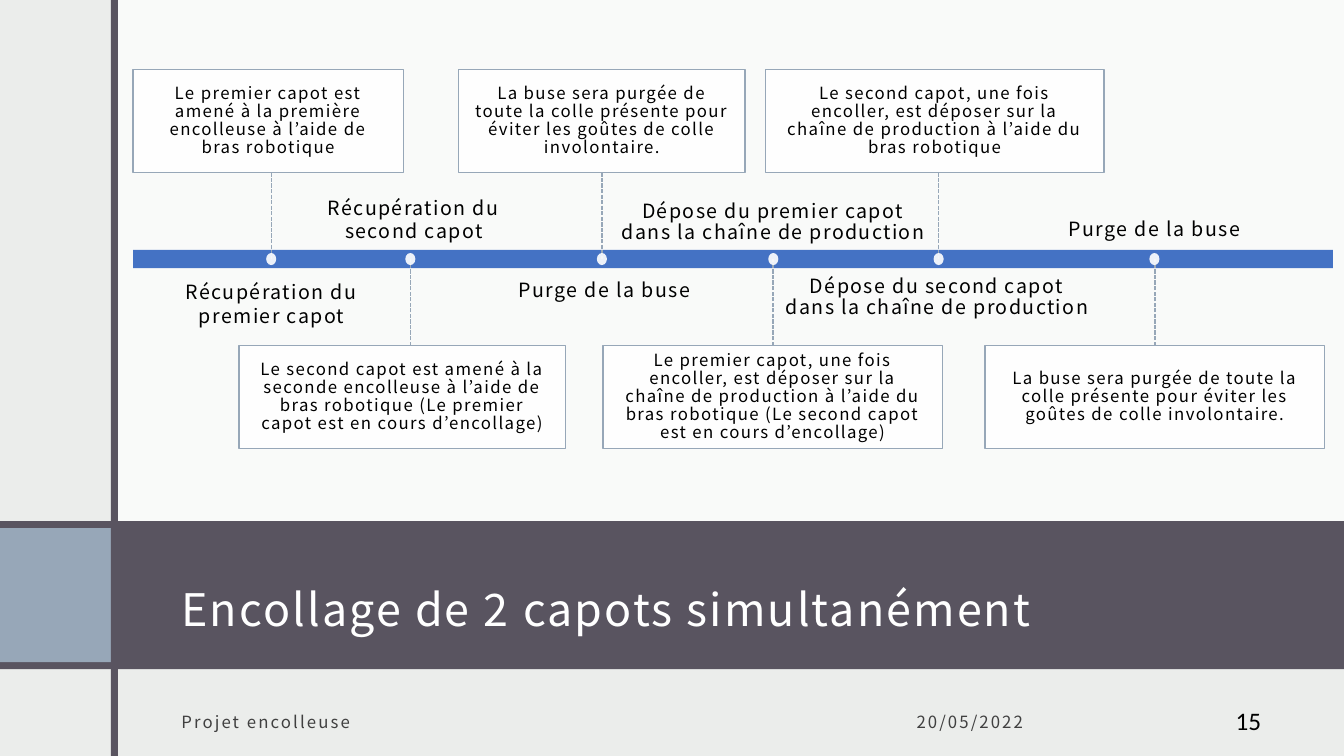
from typing import NamedTuple

from lxml.etree import SubElement
from pptx import Presentation
from pptx.dml.color import RGBColor
from pptx.enum.dml import MSO_LINE
from pptx.enum.shapes import MSO_CONNECTOR, MSO_SHAPE
from pptx.enum.text import MSO_ANCHOR, MSO_AUTO_SIZE, PP_ALIGN
from pptx.oxml.ns import qn
from pptx.util import Inches, Pt

COLORS = {"background": "EBEDEB", "white": "FFFFFF", "dark": "595460",
          "steel": "97A7B8", "blue": "4472C4", "black": "000000",
          "gray": "404040"}
FONT = "Noto Sans CJK JP"
FRAME_INSETS = (0.12, 0.12, 0.12, 0.1)
CARD_INSETS = (0.16, 0.06, 0.16, 0.06)
CARD_H, CAPTION_H = 1.02, 0.51


class Step(NamedTuple):
    x: float
    above: bool
    card_left: float
    card_width: float
    detail: str
    caption_box: tuple  # left, top, width
    caption: str
    caption_spacing: float


STEPS = [
    Step(2.69, True, 1.32, 2.68,
         "Le premier capot est amené à la première encolleuse à l’aide de "
         "bras robotique",
         (1.45, 2.78, 2.49), "Récupération du premier capot", 1.0),
    Step(4.07, False, 2.37, 3.24,
         "Le second capot est amené à la seconde encolleuse à l’aide de bras "
         "robotique (Le premier capot est en cours d’encollage)",
         (2.86, 1.9, 2.49), "Récupération du second capot", 1.0),
    Step(5.97, True, 4.55, 2.84,
         "La buse sera purgée de toute la colle présente pour éviter les "
         "goûtes de colle involontaire.",
         (4.75, 2.76, 2.49), "Purge de la buse", 1.0),
    Step(7.67, False, 5.98, 3.37,
         "Le premier capot, une fois encoller, est déposer sur la chaîne de "
         "production à l’aide du bras robotique (Le second capot est en cours "
         "d’encollage)",
         (6.14, 1.91, 3.06), "Dépose du premier capot dans la chaîne de production", 0.9),
    Step(9.31, True, 7.59, 3.36,
         "Le second capot, une fois encoller, est déposer sur la chaîne de "
         "production à l’aide du bras robotique",
         (7.76, 2.74, 3.07), "Dépose du second capot dans la chaîne de production", 0.9),
    Step(11.45, False, 9.77, 3.37,
         "La buse sera purgée de toute la colle présente pour éviter les "
         "goûtes de colle involontaire.",
         (9.92, 1.88, 3.06), "Purge de la buse", 1.0),
]


def rgb(name):
    return RGBColor.from_string(COLORS[name])


def add_block(s, box, color, shape=MSO_SHAPE.RECTANGLE, alpha=100, line=None):
    sp = s.shapes.add_shape(shape, *map(Inches, box))
    sp.shadow.inherit = False
    sp.fill.solid()
    sp.fill.fore_color.rgb = rgb(color)
    if alpha < 100:
        fill_color = sp.fill._xPr.find(qn("a:solidFill"))[0]
        SubElement(fill_color, qn("a:alpha"), val=str(alpha * 1000))
    if line:
        sp.line.color.rgb = rgb(line)
        sp.line.width = Pt(1)
    else:
        sp.line.fill.background()
    return sp


def write(sp, text, size, color="black", font=FONT, spacing=1.0,
          tracking=1.0, align=PP_ALIGN.LEFT, anchor=MSO_ANCHOR.MIDDLE,
          insets=FRAME_INSETS):
    """Fill a shape with one formatted paragraph; tracking is in points."""
    tf = sp.text_frame
    left, top, right, bottom = map(Inches, insets)
    frame = {"word_wrap": True, "auto_size": MSO_AUTO_SIZE.NONE,
             "vertical_anchor": anchor, "margin_left": left,
             "margin_top": top, "margin_right": right, "margin_bottom": bottom}
    for name, value in frame.items():
        setattr(tf, name, value)
    p = tf.paragraphs[0]
    p.alignment, p.line_spacing = align, spacing
    r = p.add_run()
    r.text = text
    r.font.name, r.font.size = font, Pt(size)
    r.font.color.rgb = rgb(color)
    if tracking:
        r._r.get_or_add_rPr().set("spc", str(int(tracking * 100)))


def add_text(s, box, text, size, **formats):
    write(s.shapes.add_textbox(*map(Inches, box)), text, size, **formats)


def add_frame(s):
    """Background panels behind the content."""
    s.background.fill.solid()
    s.background.fill.fore_color.rgb = rgb("background")
    add_block(s, (1.14, 0, 12.19, 5.17), "white", alpha=75)
    add_block(s, (0, 5.17, 13.33, 1.47), "dark")
    add_block(s, (0, 5.24, 1.1, 1.33), "steel")
    add_block(s, (1.1, 0, 0.07, 7.5), "dark")


def add_title(s, box):
    sp = s.shapes.title
    sp.left, sp.top, sp.width, sp.height = map(Inches, box)
    write(sp, "Encollage de 2 capots simultanément", 32, color="white",
          spacing=1.5, tracking=1.5)


def add_footer(s, top, height):
    for left, width, text in ((1.68, 6.27, "Projet encolleuse"),
                              (8.97, 2.35, "20/05/2022")):
        add_text(s, (left, top, width, height), text, 12, color="gray",
                 tracking=1.5)
    add_text(s, (11.56, top, 1.07, height), "15", 18, font="Calibri",
             tracking=0, align=PP_ALIGN.RIGHT, anchor=MSO_ANCHOR.BOTTOM)


def add_stem(s, step, card, edge, axis):
    cx = s.shapes.add_connector(MSO_CONNECTOR.STRAIGHT, Inches(step.x),
                                Inches(edge), Inches(step.x), Inches(axis))
    cx.line.color.rgb = rgb("steel")
    cx.line.width = Pt(1)
    cx.line.dash_style = MSO_LINE.SQUARE_DOT
    SubElement(cx._element.spPr, qn("a:effectLst"))
    if abs(step.card_left + step.card_width / 2 - step.x) < 0.02:
        cx.begin_connect(card, 2 if step.above else 0)
        cx.end_x = cx.begin_x


def add_step(s, step, top, axis):
    card_top = top if step.above else 2 * axis - top - CARD_H
    card = add_block(s, (step.card_left, card_top, step.card_width, CARD_H),
                     "white", alpha=90, line="steel")
    write(card, step.detail, 12, spacing=0.9, align=PP_ALIGN.CENTER,
          insets=CARD_INSETS)
    edge = card_top + CARD_H if step.above else card_top
    add_stem(s, step, card, edge, axis)
    anchor = MSO_ANCHOR.TOP if step.above else MSO_ANCHOR.BOTTOM
    add_text(s, (*step.caption_box, CAPTION_H), step.caption, 14,
             spacing=step.caption_spacing, align=PP_ALIGN.CENTER,
             anchor=anchor, insets=(0, 0, 0, 0))
    add_block(s, (step.x - 0.05, axis - 0.06, 0.1, 0.12), "white",
              MSO_SHAPE.OVAL, alpha=90)


def add_timeline(s, left, top, width, height):
    axis = top + height / 2
    add_block(s, (left, axis - 0.09, width, 0.18), "blue")
    for step in STEPS:
        add_step(s, step, top, axis)


def main():
    prs = Presentation()
    prs.slide_width, prs.slide_height = Inches(13.33), Inches(7.5)
    s = prs.slides.add_slide(prs.slide_layouts[5])
    add_frame(s)
    title = s.shapes.title._element
    s.shapes._spTree.append(title)  # bring the title in front of the panels
    add_title(s, (1.68, 5.33, 10.95, 1.13))
    add_footer(s, 6.9, 0.5)
    add_timeline(s, 1.32, 0.69, 11.9, 3.76)
    prs.save("out.pptx")


if __name__ == "__main__":
    main()
